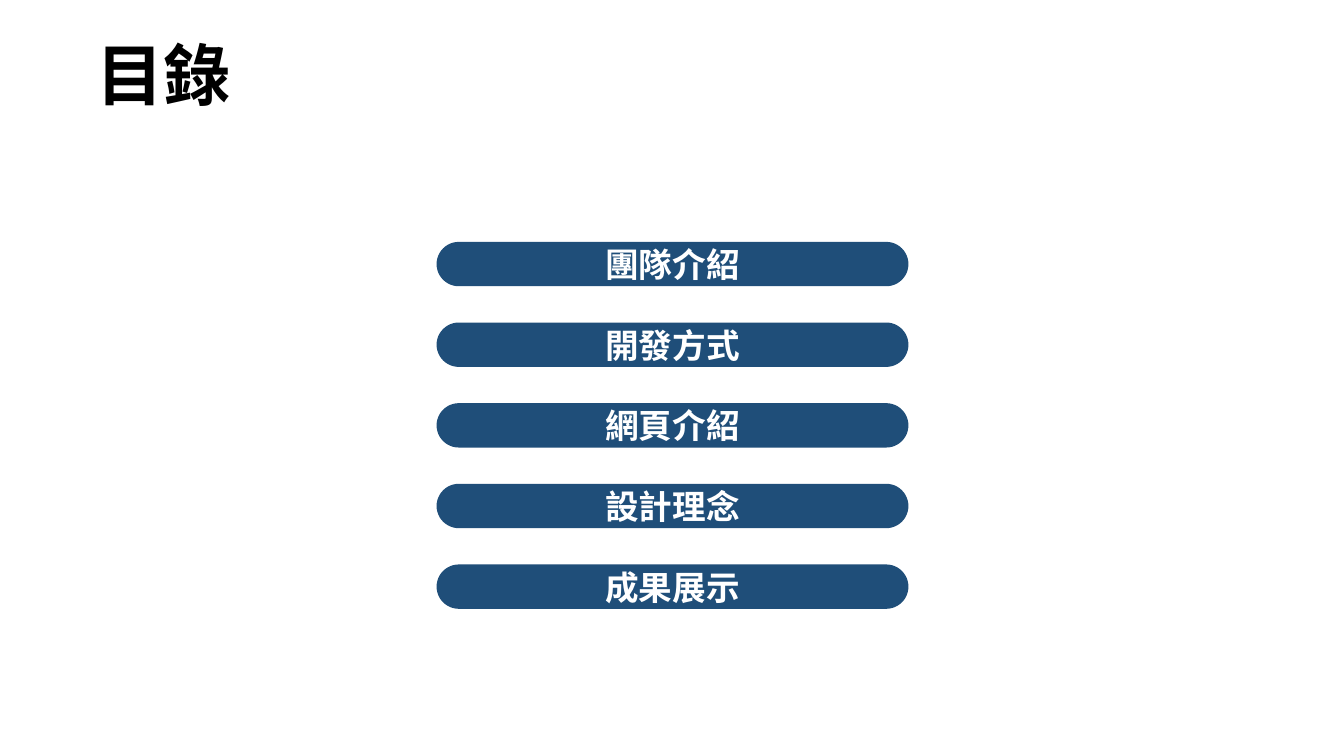
from lxml.etree import SubElement
from pptx import Presentation
from pptx.dml.color import RGBColor
from pptx.enum.shapes import MSO_SHAPE as Shape
from pptx.enum.text import MSO_ANCHOR as Anchor, MSO_AUTO_SIZE as AutoSize, PP_ALIGN as Align
from pptx.oxml.ns import qn
from pptx.util import Inches, Pt

BLACK = RGBColor(0x00, 0x00, 0x00)
WHITE = RGBColor(0xFF, 0xFF, 0xFF)
NAVY = RGBColor(0x1F, 0x4E, 0x79)
FONT = "Noto Sans CJK SC"

TITLE = "目錄"
CHAPTERS = ["團隊介紹", "開發方式", "網頁介紹", "設計理念", "成果展示"]


def write_text(shape, text, size, color, align, anchor):
    frame = shape.text_frame
    frame.word_wrap = True
    frame.auto_size = AutoSize.NONE
    frame.vertical_anchor = anchor
    frame.margin_left = frame.margin_right = Inches(0.05)
    frame.margin_top = frame.margin_bottom = Inches(0.05)
    para = frame.paragraphs[0]
    para.alignment = align
    span = para.add_run()
    span.text = text
    span.font.size = Pt(size)
    span.font.bold = True
    span.font.color.rgb = color
    span.font.name = FONT
    # Chinese characters take the East Asian typeface
    SubElement(span.font._element, qn("a:ea"), typeface=FONT)


def add_title(page, left, top, width, height):
    title = page.shapes.title
    title.left, title.top = Inches(left), Inches(top)
    title.width, title.height = Inches(width), Inches(height)
    write_text(title, TITLE, 48, BLACK, Align.LEFT, Anchor.TOP)


def add_chapter_list(page, left, top, width, pill_height, pitch):
    """Stack one pill per chapter, with tops one pitch apart."""
    for index, chapter in enumerate(CHAPTERS):
        pill = page.shapes.add_shape(
            Shape.ROUNDED_RECTANGLE, Inches(left), Inches(top + index * pitch),
            Inches(width), Inches(pill_height))
        pill.adjustments[0] = 0.5
        pill.shadow.inherit = False
        pill.fill.solid()
        pill.fill.fore_color.rgb = NAVY
        pill.line.fill.background()
        write_text(pill, chapter, 24, WHITE, Align.CENTER, Anchor.MIDDLE)


def main():
    deck = Presentation()
    deck.slide_width, deck.slide_height = Inches(13.33), Inches(7.5)
    page = deck.slides.add_slide(deck.slide_layouts.get_by_name("Title Only"))
    add_title(page, 0.91, 0.28, 12.38, 1.03)
    add_chapter_list(page, 4.33, 2.4, 4.68, 0.44, 0.8)
    deck.save("out.pptx")


if __name__ == "__main__":
    main()
